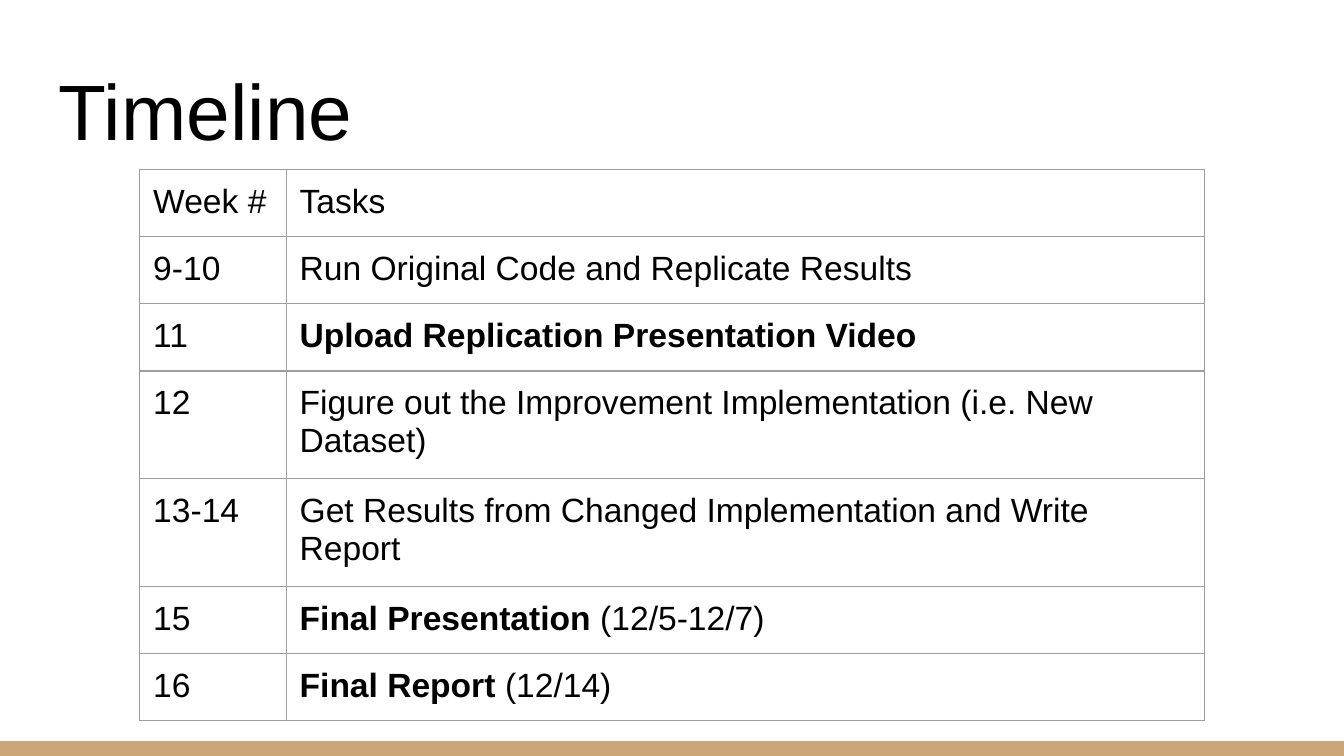
import pptx
import pptx.util
import pptx.dml.color
import pptx.enum.shapes
import pptx.enum.text
import pptx.oxml
import pptx.oxml.ns

Inches, Pt = pptx.util.Inches, pptx.util.Pt
RGBColor = pptx.dml.color.RGBColor

# Content: each task is a bold part followed by a regular part
TITLE = "Timeline"
ROWS = [
    ("Week #", "", "Tasks"),
    ("9-10", "", "Run Original Code and Replicate Results"),
    ("11", "Upload Replication Presentation Video", ""),
    ("12", "", "Figure out the Improvement Implementation (i.e. New Dataset)"),
    ("13-14", "", "Get Results from Changed Implementation and Write Report"),
    ("15", "Final Presentation", " (12/5-12/7)"),
    ("16", "Final Report", " (12/14)"),
]

# Style and layout, in inches
BLACK = RGBColor(0x00, 0x00, 0x00)
TAN = RGBColor(0xCC, 0xA6, 0x77)
BORDER = RGBColor(0x9E, 0x9E, 0x9E)
FONT = "Arial"
WIDTH = 10
HEIGHT = WIDTH * 9 / 16
BAR_H = 0.11
MARGIN, TITLE_TOP, TABLE_TOP = 0.34, 0.35, 1.26
COLS = (1.09, 6.83)
ROW_H = 0.42
INSET = Inches(0.1)


def set_insets(target):
    target.margin_left = target.margin_right = INSET
    target.margin_top = target.margin_bottom = INSET


def write(p, parts, size):
    # Row heights are measured from run fonts, so the font goes on each run
    for text, bold in parts:
        if text:
            r = p.add_run()
            r.text = text
            r.font.bold = bold
            r.font.name, r.font.size = FONT, Pt(size)
            r.font.color.rgb = BLACK


def set_borders(cell):
    tcPr = cell._tc.get_or_add_tcPr()
    for i, side in enumerate(("lnL", "lnR", "lnT", "lnB")):
        tcPr.insert(i, pptx.oxml.parse_xml(
            f'<a:{side} {pptx.oxml.ns.nsdecls("a")} w="{Pt(0.75)}"><a:solidFill>'
            f'<a:srgbClr val="{BORDER}"/></a:solidFill></a:{side}>'))


prs = pptx.Presentation()
prs.slide_width, prs.slide_height = Inches(WIDTH), Inches(HEIGHT)
s = prs.slides.add_slide(prs.slide_layouts[6])

# Bottom bar
bar = s.shapes.add_shape(pptx.enum.shapes.MSO_SHAPE.RECTANGLE, 0,
                         Inches(HEIGHT - BAR_H), Inches(WIDTH), Inches(BAR_H))
bar.shadow.inherit = False
bar.fill.solid()
bar.fill.fore_color.rgb = TAN
bar.line.fill.background()

# Title
tf = s.shapes.add_textbox(Inches(MARGIN), Inches(TITLE_TOP), Inches(WIDTH - 2 * MARGIN),
                          Inches(TABLE_TOP - TITLE_TOP)).text_frame
tf.word_wrap = True
tf.vertical_anchor = pptx.enum.text.MSO_ANCHOR.BOTTOM
set_insets(tf)
write(tf.paragraphs[0], [(TITLE, False)], 42)

# Timeline table, centred on the slide
table = s.shapes.add_table(len(ROWS), len(COLS), Inches((WIDTH - sum(COLS)) / 2),
                           Inches(TABLE_TOP), Inches(sum(COLS)),
                           Inches(ROW_H * len(ROWS))).table
table.first_row = table.horz_banding = False
for column, width in zip(table.columns, COLS):
    column.width = Inches(width)
for row, (week, bold_task, task) in zip(table.rows, ROWS):
    row.height = Inches(ROW_H)
    for cell, parts in zip(row.cells, ([(week, False)], [(bold_task, True), (task, False)])):
        set_insets(cell)
        cell.fill.background()
        set_borders(cell)
        write(cell.text_frame.paragraphs[0], parts, 18)

prs.save("out.pptx")
